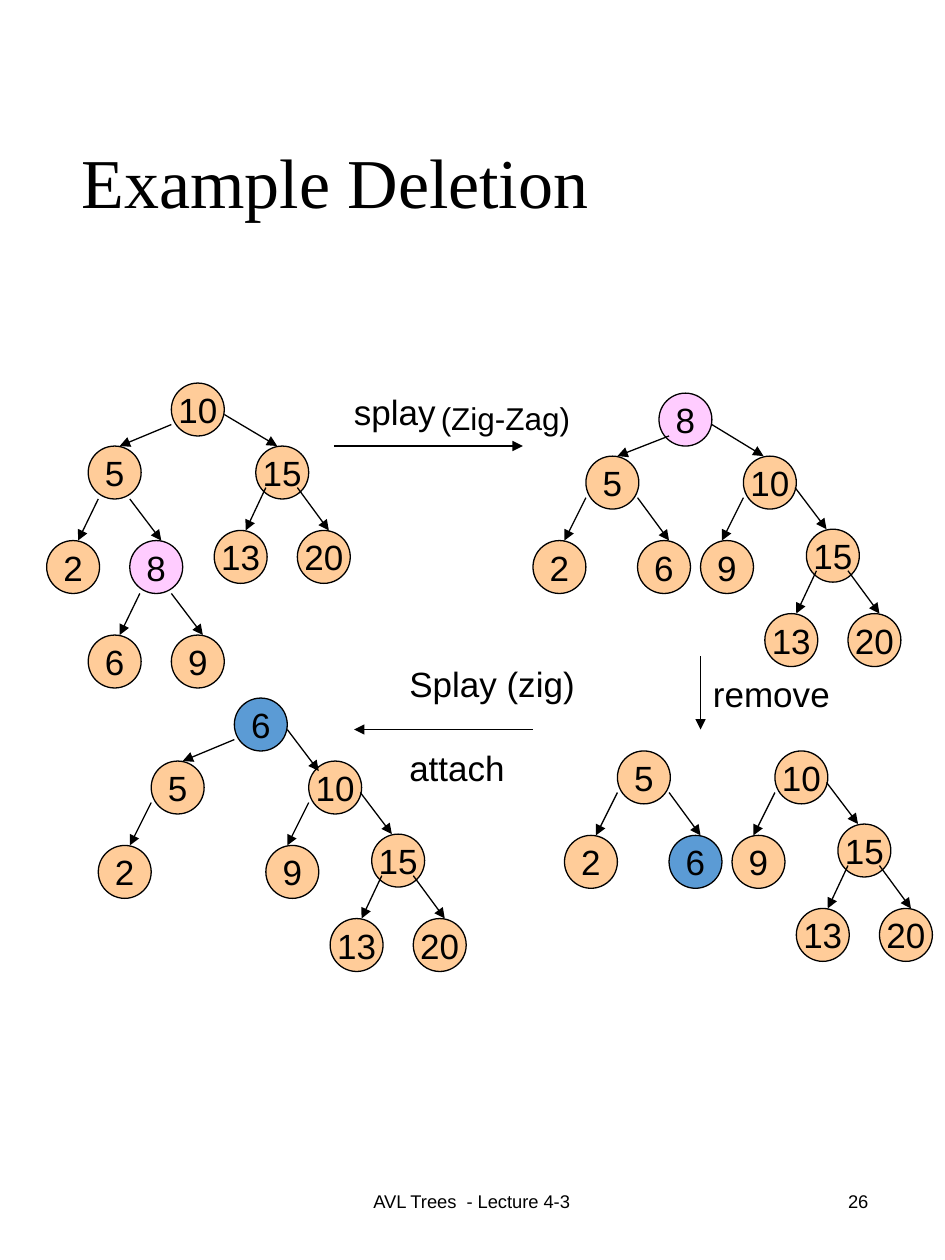
"""Build a slide that follows a splay tree deletion step by step."""
from dataclasses import dataclass

from lxml.etree import SubElement
from pptx import Presentation
from pptx.dml.color import RGBColor
from pptx.enum.shapes import MSO_CONNECTOR, MSO_SHAPE
from pptx.enum.text import MSO_ANCHOR as Anchor, MSO_AUTO_SIZE as AutoSize, PP_ALIGN as Align
from pptx.oxml.ns import qn
from pptx.util import Inches, Pt

BLACK, ORANGE, PINK, BLUE = "000000", "FFCC99", "FFCCFF", "5B9BD5"
DIAMETER = 0.42


@dataclass(frozen=True)
class Branch:
    child: "Node"
    right: float
    down: float
    start_x: float
    start_y: float
    tip_x: float = 0.25
    tip_y: float = 0


@dataclass(frozen=True)
class Node:
    key: int
    branches: tuple[Branch, ...] = ()
    fill: str = ORANGE


@dataclass(frozen=True)
class Label:
    lines: tuple[str, ...]
    left: float
    top: float
    width: float
    height: float
    size: float = 20
    align: Align = Align.LEFT
    anchor: Anchor = Anchor.TOP
    wrap: bool = False
    auto_size: AutoSize = AutoSize.SHAPE_TO_FIT_TEXT
    line_gap: float = 0


def fork(left: Node, right: Node, down: float, start_y: float) -> tuple[Branch, Branch]:
    """Return a narrow pair of branches."""
    return (Branch(left, -0.33, down, 0.08, start_y), Branch(right, 0.33, down, 0.33, start_y))


def five(*right: Branch) -> Node:
    """Return node 5 with child 2 and any right branch."""
    return Node(5, (Branch(Node(2), -0.42, 0.67, 0, 0.33), *right))


def six_branch(fill: str) -> Branch:
    """Return the right branch from 5 to 6."""
    return Branch(Node(6, fill=fill), 0.41, 0.67, 0.41, 0.33)


FIFTEEN = Node(15, fork(Node(13), Node(20), 0.67, 0.33))
TEN = Node(10, (Branch(Node(9), -0.34, 0.67, 0, 0.33, 0.17),
                Branch(FIFTEEN, 0.5, 0.58, 0.41, 0.25, 0.16)))
EIGHT = Node(8, fork(Node(6), Node(9), 0.75, 0.42), PINK)
FIRST_FIVE = Node(5, fork(Node(2), EIGHT, 0.75, 0.42))

TREES = (
    (Node(10, (Branch(FIRST_FIVE, -0.66, 0.5, 0, 0.33),
               Branch(FIFTEEN, 0.67, 0.5, 0.42, 0.25, 0.17))), 1.36, 3.04),
    (Node(8, (Branch(five(six_branch(ORANGE)), -0.58, 0.5, 0.08, 0.34),
              Branch(TEN, 0.67, 0.5, 0.42, 0.25, 0.16)), PINK), 5.23, 3.12),
    (five(six_branch(BLUE)), 4.9, 5.96),
    (TEN, 6.15, 5.96),
    (Node(6, (Branch(five(), -0.66, 0.5, 0, 0.33),
              Branch(TEN, 0.59, 0.5, 0.42, 0.25, 0.08, 0.08)), BLUE), 1.86, 5.54),
)

STEP_ARROWS = ((2.65, 3.54, 4.15, 3.54), (5.56, 5.21, 5.56, 5.79), (4.23, 5.79, 2.81, 5.79))

FOOTER = {"size": 10.5, "anchor": Anchor.MIDDLE, "wrap": True, "auto_size": AutoSize.NONE}
LABELS = (
    Label(("splay",), 2.71, 3.05, 0.85, 0.43),
    Label(("(Zig-Zag)",), 3.4, 3.12, 1.33, 0.4, size=18, wrap=True),
    Label(("remove",), 5.56, 5.29, 1.13, 0.43),
    Label(("Splay (zig)", "attach"), 3.15, 5.21, 1.6, 1.1, wrap=True, line_gap=24),
    Label(("AVL Trees  - Lecture 4-3",), 2.48, 9.27, 2.53, 0.53, align=Align.CENTER, **FOOTER),
    Label(("26",), 5.3, 9.27, 1.69, 0.53, align=Align.RIGHT, **FOOTER),
)


def color(value: str) -> RGBColor:
    """Turn a hex string into a colour."""
    return RGBColor.from_string(value)


def set_values(target, values: dict) -> None:
    """Set attributes from a dict."""
    for name, value in values.items():
        setattr(target, name, value)


def format_font(paragraph, size: float, name: str = "Arial") -> None:
    """Give a paragraph its font."""
    set_values(paragraph.font, {"name": name, "size": Pt(size)})
    paragraph.font.color.rgb = color(BLACK)


def draw_arrow(slide, *ends: float) -> None:
    """Draw a thin line with an arrowhead at its end."""
    arrow = slide.shapes.add_connector(MSO_CONNECTOR.STRAIGHT, *map(Inches, ends))
    arrow.line.width = Pt(0.75)
    arrow.line.color.rgb = color(BLACK)
    properties = arrow._element.spPr
    SubElement(properties.find(qn("a:ln")), qn("a:tailEnd"), type="triangle")
    SubElement(properties, qn("a:effectLst"))


def draw_node(slide, node: Node, left: float, top: float) -> None:
    """Draw one node as a circle holding its key."""
    shape = slide.shapes.add_shape(
        MSO_SHAPE.OVAL, *map(Inches, (left, top, DIAMETER, DIAMETER)))
    shape.shadow.inherit = False
    shape.fill.solid()
    shape.fill.fore_color.rgb = color(node.fill)
    shape.line.color.rgb = color(BLACK)
    shape.line.width = Pt(0.75)
    set_values(shape.text_frame, {"word_wrap": False, "vertical_anchor": Anchor.MIDDLE})
    paragraph = shape.text_frame.paragraphs[0]
    set_values(paragraph, {"text": str(node.key), "alignment": Align.CENTER})
    format_font(paragraph, 20)


def draw_tree(slide, node: Node, left: float, top: float) -> None:
    """Draw a node and everything below it."""
    draw_node(slide, node, left, top)
    for branch in node.branches:
        child_left, child_top = left + branch.right, top + branch.down
        draw_tree(slide, branch.child, child_left, child_top)
        draw_arrow(slide, left + branch.start_x, top + branch.start_y,
                   child_left + branch.tip_x, child_top + branch.tip_y)


def draw_label(slide, label: Label) -> None:
    """Draw a text box with one paragraph per line."""
    box = slide.shapes.add_textbox(
        *map(Inches, (label.left, label.top, label.width, label.height)))
    frame = box.text_frame
    set_values(frame, {"word_wrap": label.wrap, "auto_size": label.auto_size,
                       "vertical_anchor": label.anchor})
    for index, line in enumerate(label.lines):
        paragraph = frame.add_paragraph() if index else frame.paragraphs[0]
        set_values(paragraph, {"text": line, "alignment": label.align})
        if index:
            paragraph.space_before = Pt(label.line_gap)
        format_font(paragraph, label.size)


def draw_title(slide, text: str) -> None:
    """Place and format the title."""
    title = slide.shapes.title
    set_values(title, {"left": Inches(0.55), "top": Inches(0.51),
                       "width": Inches(6.47), "height": Inches(1.93)})
    title.text_frame.vertical_anchor = Anchor.MIDDLE
    paragraph = title.text_frame.paragraphs[0]
    set_values(paragraph, {"text": text, "alignment": Align.LEFT, "line_spacing": 0.9})
    format_font(paragraph, 40, "Times New Roman")


def main() -> None:
    """Build and save the presentation."""
    presentation = Presentation()
    set_values(presentation, {"slide_width": Inches(7.5), "slide_height": Inches(10)})
    slide = presentation.slides.add_slide(presentation.slide_layouts[5])
    draw_title(slide, "Example Deletion")
    for root, left, top in TREES:
        draw_tree(slide, root, left, top)
    for ends in STEP_ARROWS:
        draw_arrow(slide, *ends)
    for label in LABELS:
        draw_label(slide, label)
    presentation.save("out.pptx")


if __name__ == "__main__":
    main()
